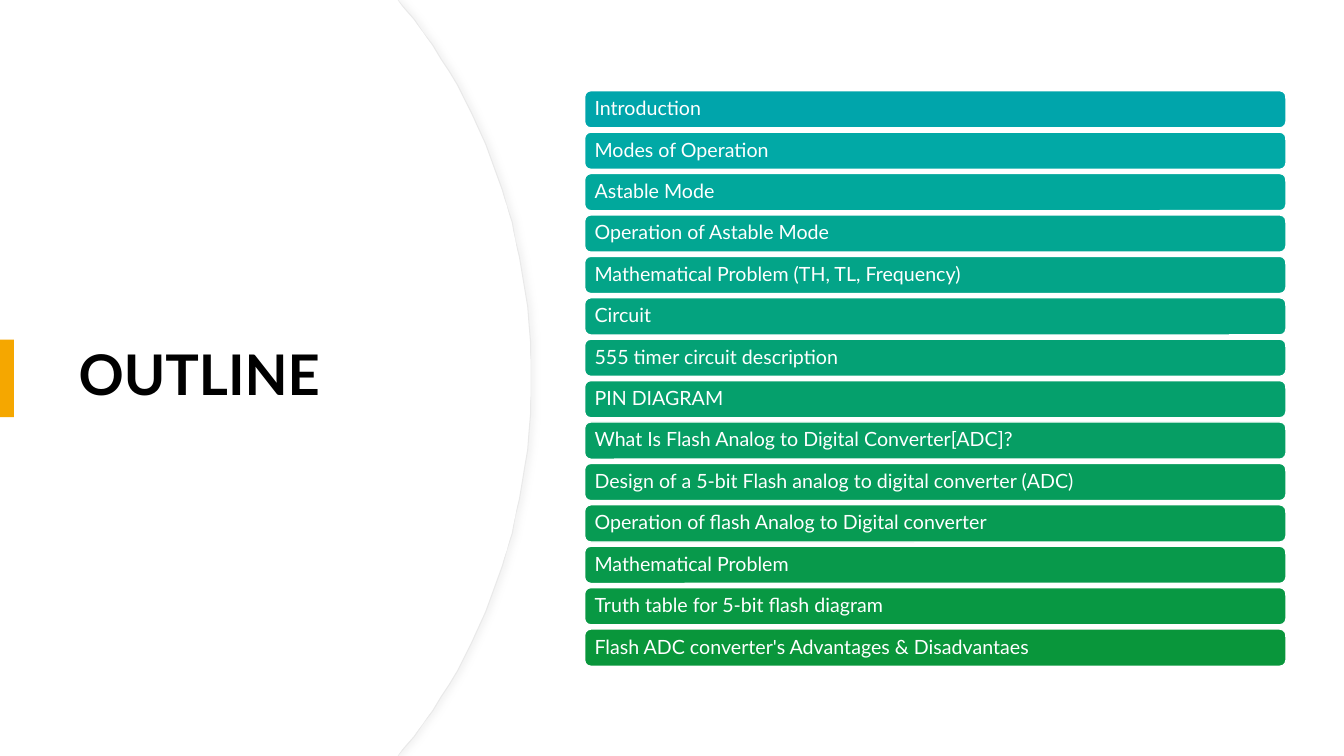
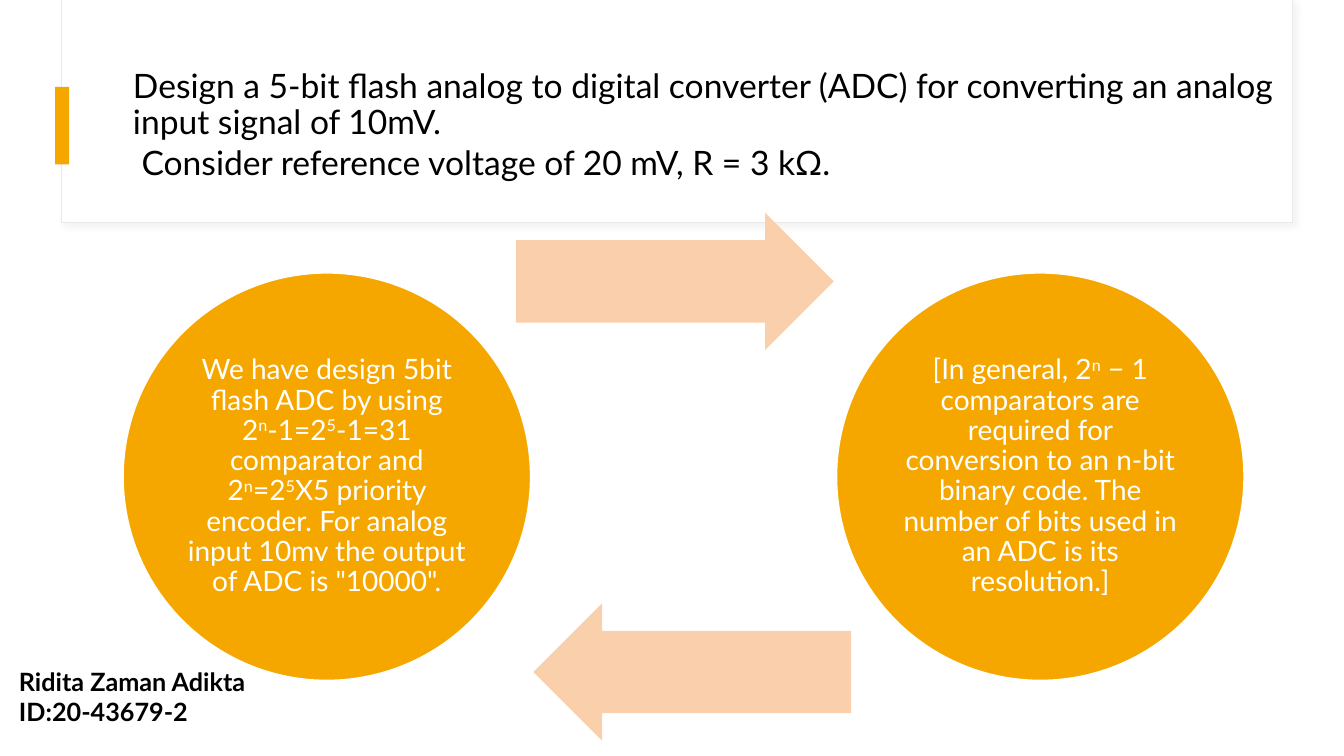
import colorsys

import lxml.etree
import pptx
import pptx.dml.color
import pptx.enum.shapes
import pptx.enum.text
import pptx.oxml.ns
import pptx.util

Pt = pptx.util.Pt
Shape = pptx.enum.shapes.MSO_SHAPE
Anchor = pptx.enum.text.MSO_ANCHOR
Align = pptx.enum.text.PP_ALIGN

COLORS = {
    "white": "FFFFFF",
    "black": "000000",
    "accent": "F5A700",
    "arrow": "F9D0AB",
    "edge": "E9E9E9",
    "shadow": "D9D9D9",
    "bar_first": "00A5AB",
    "bar_last": "09963B",
}
FONT = "Lato"
WIDTH, HEIGHT = 960, 540

OUTLINE = [
    "Introduction",
    "Modes of Operation",
    "Astable Mode",
    "Operation of Astable Mode",
    "Mathematical Problem (TH, TL, Frequency)",
    "Circuit",
    "555 timer circuit description",
    "PIN DIAGRAM",
    "What Is Flash Analog to Digital Converter[ADC]?",
    "Design of a 5-bit Flash analog to digital converter (ADC)",
    "Operation of flash Analog to Digital converter",
    "Mathematical Problem",
    "Truth table for 5-bit flash diagram",
    "Flash ADC converter's Advantages & Disadvantaes",
]
QUESTION = [
    "Design a 5-bit flash analog to digital converter (ADC) for converting "
    "an analog input signal of 10mV.",
    " Consider reference voltage of 20 mV, R = 3 kΩ.",
]
# Every second run is a superscript
ANSWER = ["We have design 5bit flash ADC by using 2", "n", "-1=2", "5",
          "-1=31 comparator and 2", "n", "=2", "5",
          "X5 priority encoder. For analog input 10mv the output of ADC is \"10000\"."]
RULE = ["[In general, 2", "n",
        " − 1 comparators are required for conversion to an n-bit binary code. "
        "The number of bits used in an ADC is its resolution.]"]
AUTHOR = ["Ridita Zaman Adikta", "ID:20-43679-2"]


def blend(first, last, share):
    """Mix two hex colours by hue, lightness and saturation."""
    start, end = (
        colorsys.rgb_to_hls(*(int(code[i:i + 2], 16) / 255 for i in (0, 2, 4)))
        for code in (first, last))
    mixed = colorsys.hls_to_rgb(*(a + (b - a) * share for a, b in zip(start, end)))
    return "".join(f"{round(255 * channel):02X}" for channel in mixed)


class Deck:
    def __init__(self):
        self.presentation = pptx.Presentation()
        self.presentation.slide_width = Pt(WIDTH)
        self.presentation.slide_height = Pt(HEIGHT)
        self.slide = None

    def new_slide(self):
        self.slide = self.presentation.slides.add_slide(
            self.presentation.slide_layouts[5])

    @staticmethod
    def rgb(color):
        return pptx.dml.color.RGBColor.from_string(COLORS.get(color, color))

    def paint(self, shape, fill, line=None, weight=1.0):
        shape.shadow.inherit = False
        shape.fill.solid()
        shape.fill.fore_color.rgb = self.rgb(fill)
        if line:
            shape.line.color.rgb = self.rgb(line)
            shape.line.width = Pt(weight)
        else:
            shape.line.fill.background()
        return shape

    def cast_shadow(self, shape, angle):
        qn = pptx.oxml.ns.qn
        effects = shape._element.spPr.find(qn("a:effectLst"))
        shadow = lxml.etree.SubElement(
            effects, qn("a:outerShdw"), blurRad=str(Pt(4)), dist=str(Pt(3)),
            dir=str(angle * 60000), algn="tl", rotWithShape="0")
        color = lxml.etree.SubElement(shadow, qn("a:srgbClr"), val=COLORS["shadow"])
        lxml.etree.SubElement(color, qn("a:alpha"), val="30000")

    def shape(self, kind, left, top, width, height, fill, line=None, weight=1.0):
        shape = self.slide.shapes.add_shape(
            kind, Pt(left), Pt(top), Pt(width), Pt(height))
        return self.paint(shape, fill, line, weight)

    def add_text(self, shape, paragraphs, size, color="black", bold=False,
                 align=Align.LEFT, anchor=Anchor.TOP, spacing=0.9, gap=0,
                 insets=(7.2, 3.6)):
        """Fill a shape; each paragraph is a list of runs, every second one raised."""
        frame = shape.text_frame
        frame.word_wrap = True
        frame.auto_size = pptx.enum.text.MSO_AUTO_SIZE.NONE
        frame.vertical_anchor = anchor
        frame.margin_left = frame.margin_right = Pt(insets[0])
        frame.margin_top = frame.margin_bottom = Pt(insets[1])
        for index, runs in enumerate(paragraphs):
            paragraph = frame.add_paragraph() if index else frame.paragraphs[0]
            paragraph.alignment = align
            paragraph.line_spacing = spacing
            paragraph.space_before = Pt(gap if index else 0)
            for position, text in enumerate(runs):
                run = paragraph.add_run()
                run.text = text
                run.font.name = FONT
                run.font.size = Pt(size)
                run.font.bold = bold
                run.font.color.rgb = self.rgb(color)
                if position % 2:
                    run._r.get_or_add_rPr().set("baseline", "30000")

    def title(self, lines, left, top, width, height, size, **style):
        title = self.slide.shapes.title
        title.left, title.top = Pt(left), Pt(top)
        title.width, title.height = Pt(width), Pt(height)
        self.slide.shapes._spTree.append(title._element)  # in front of the panel
        self.add_text(title, [[line] for line in lines], size, **style)

    def marker(self, left, top):
        self.shape(Shape.RECTANGLE, left, top, 10, 55.4, "accent")

    def card(self):
        """White header panel with a fine edge and a soft shadow."""
        back = self.shape(Shape.RECTANGLE, 44, 0, 879, 159, "white", "edge", 0.75)
        self.cast_shadow(back, 45)
        self.shape(Shape.RECTANGLE, 44.6, 0, 878.4, 158.4, "white")

    def curved_panel(self, bulge, line=None):
        """White panel on the left whose right edge is an arc."""
        ends = [(bulge - 90.7, 5.8), (bulge - 34.5, 73.4), (bulge, 167), (bulge, HEIGHT / 2)]
        steps = 24
        upper = [(283.7, 0)]
        for step in range(steps + 1):
            t = step / steps
            weights = ((1 - t) ** 3, 3 * t * (1 - t) ** 2, 3 * t * t * (1 - t), t ** 3)
            upper.append(tuple(sum(w * point[axis] for w, point in zip(weights, ends))
                               for axis in (0, 1)))
        lower = [(x, HEIGHT - y) for x, y in reversed(upper[:-1])]
        builder = self.slide.shapes.build_freeform(0, 0, scale=float(Pt(1)))
        builder.add_line_segments(upper + lower + [(0, HEIGHT)], close=True)
        return self.paint(builder.convert_to_shape(), "white", line, 0.75)

    def bar(self, text, top, fill):
        bar = self.shape(Shape.ROUNDED_RECTANGLE, 417.6, top, 501, 26.6, fill, "white")
        self.add_text(bar, [[text]], 14, "white", anchor=Anchor.MIDDLE, insets=(5.8, 4.3))

    def circle(self, runs, left):
        circle = self.shape(Shape.OVAL, left, 195, 291, 291, "accent", "white")
        self.add_text(circle, [runs], 20, "white", align=Align.CENTER,
                      anchor=Anchor.MIDDLE, insets=(2, 2))

    def arrow(self, left, top, rotation):
        arrow = self.shape(Shape.RIGHT_ARROW, left, top, 227, 98, "arrow")
        arrow.adjustments[0], arrow.adjustments[1] = 0.6, 0.5
        arrow.rotation = rotation

    def label(self, lines, left, top, width, height):
        box = self.slide.shapes.add_textbox(Pt(left), Pt(top), Pt(width), Pt(height))
        self.add_text(box, [[line] for line in lines], 18, bold=True, spacing=1.0)


def outline_slide(deck):
    deck.new_slide()
    deck.cast_shadow(deck.curved_panel(379.4, "edge"), 0)
    deck.curved_panel(378.7)
    deck.title(["OUTLINE"], 49, 91.4, 283.7, 356.4, 40, bold=True, anchor=Anchor.MIDDLE)
    deck.marker(0, 242.6)
    for index, text in enumerate(OUTLINE):
        fill = blend(COLORS["bar_first"], COLORS["bar_last"], index / (len(OUTLINE) - 1))
        deck.bar(text, 64.8 + 29.58 * index, fill)


def design_slide(deck):
    deck.new_slide()
    deck.card()
    deck.marker(39.4, 62)
    deck.title(QUESTION, 87.8, 46, 852.5, 100, 24, gap=3)
    # Cycle of two circles and two arrows
    deck.circle(ANSWER, 88)
    deck.arrow(368.6, 152, 0)
    deck.circle(RULE, 597.6)
    deck.arrow(381, 431, 180)
    deck.label(AUTHOR, 6.5, 472.3, 204.5, 51)


def main():
    deck = Deck()
    outline_slide(deck)
    design_slide(deck)
    deck.presentation.save("out.pptx")


if __name__ == "__main__":
    main()
